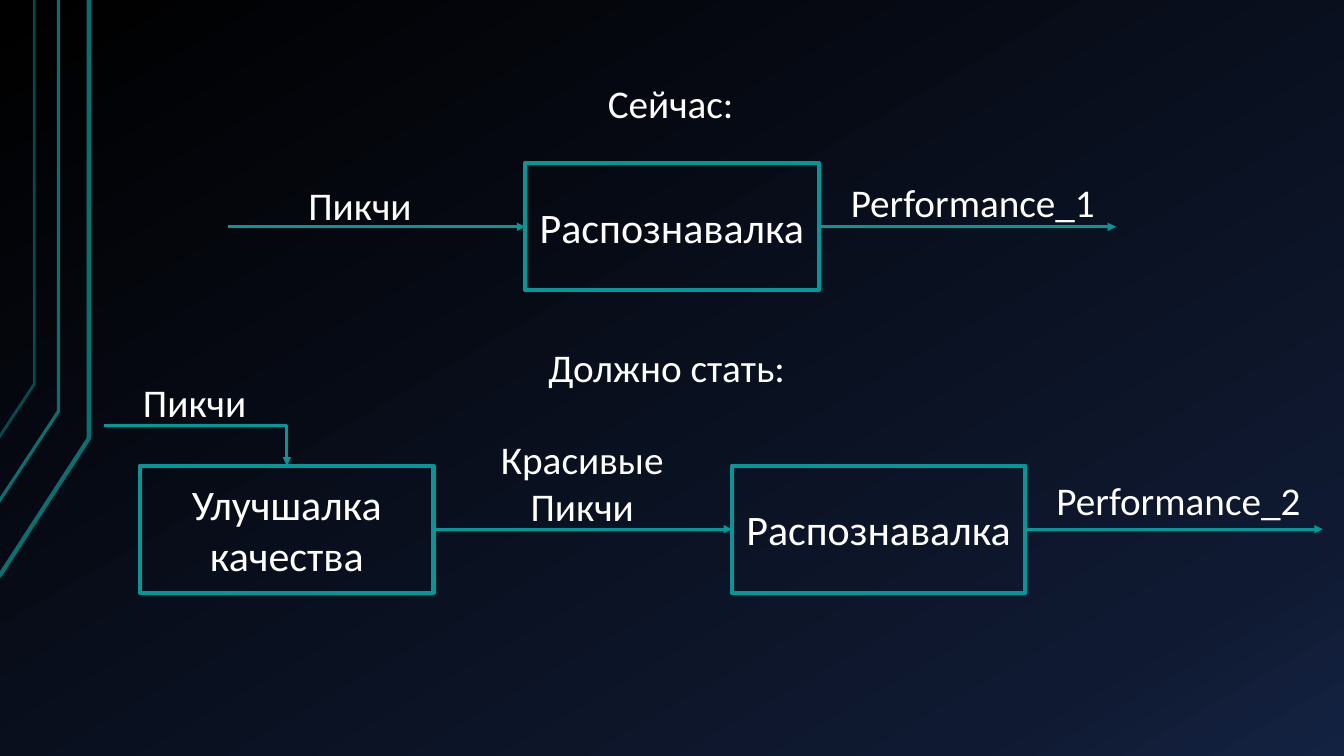
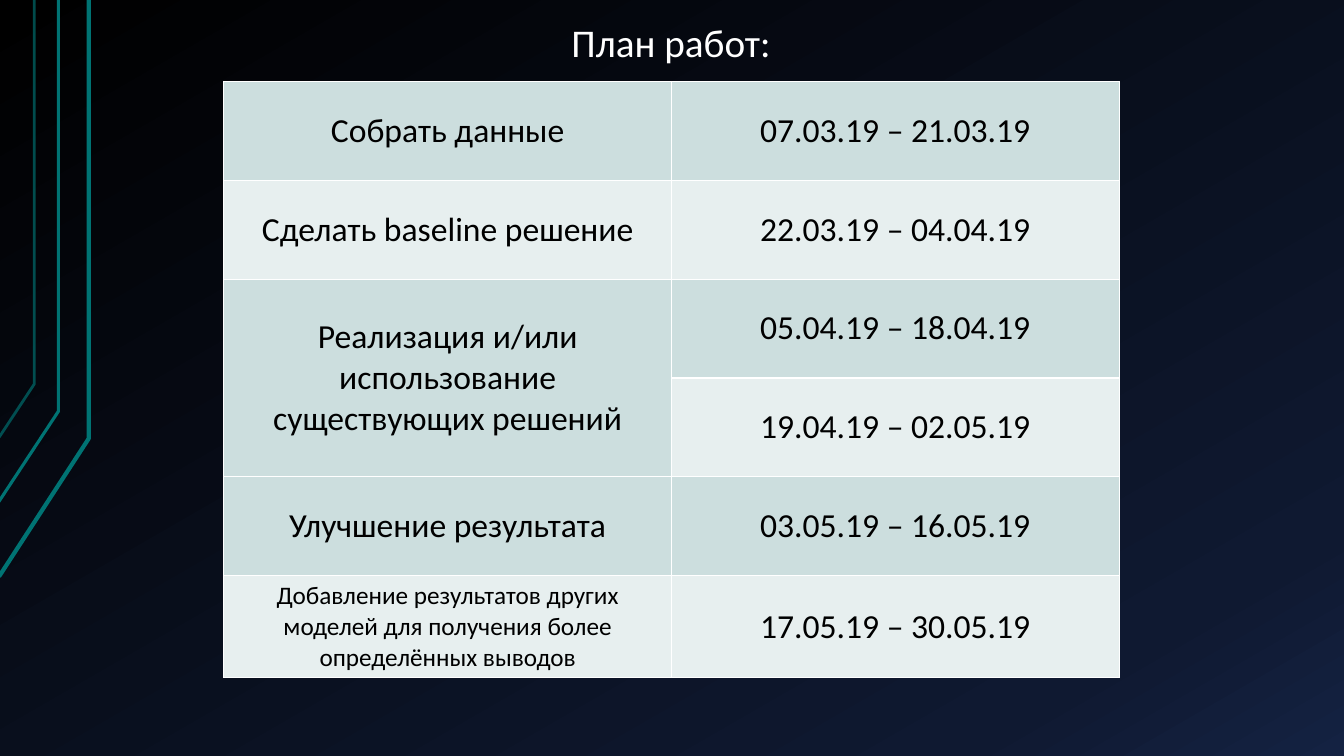
import copy

import pptx
import pptx.dml.color
import pptx.enum.shapes
import pptx.enum.text
import pptx.oxml
import pptx.oxml.ns
import pptx.util
from pptx.util import Inches

FONT = "Calibri"
WHITE, BLACK = "FFFFFF", "000000"
ACCENT, RAIL = "009999", "007373"
BANDS = ("CCDEDE", "E7EFEF")
BACKDROP = ((0, "000000"), (0.85, "0F1931"), (1, "142242"))
# Points, line width and opacity of the bent lines at the left edge
RAILS = (
    (((-0.01, 5.72), (0.88, 4.35), (0.88, 0)), 3, 100),
    (((-0.02, 4.99), (0.58, 4.08), (0.58, 0)), 2.25, 100),
    (((-0.01, 4.34), (0.34, 3.81), (0.34, 0)), 2, 65),
)
BOX_W, BOX_H = 2.91, 1.26
ARROW = 2.95
CENTER = pptx.enum.text.PP_ALIGN.CENTER
LEFT = pptx.enum.text.PP_ALIGN.LEFT
MIDDLE = pptx.enum.text.MSO_ANCHOR.MIDDLE


def rgb(value):
    """Turn a hex string into a colour."""
    return pptx.dml.color.RGBColor.from_string(value)


def add_xml(parent, tag, **attributes):
    """Append a DrawingML element and return it."""
    element = pptx.oxml.parse_xml(f"<a:{tag} {pptx.oxml.ns.nsdecls('a')}/>")
    for key, value in attributes.items():
        element.set(key, str(value))
    parent.append(element)
    return element


class Deck:
    """The presentation's style together with its current slide."""

    def __init__(self):
        """Start a wide presentation with the gradient backdrop."""
        self.prs = pptx.Presentation()
        self.prs.slide_width = Inches(13.33)
        self.prs.slide_height = Inches(7.5)
        self.slide = None
        self.paint_backdrop()

    def paint_backdrop(self):
        """Give the master the diagonal gradient."""
        fill = self.prs.slide_master.background.fill
        fill.gradient()
        fill.gradient_angle = 300
        last = fill.gradient_stops[1]._gs
        last.addnext(copy.deepcopy(last))
        for stop, (position, color) in zip(fill.gradient_stops, BACKDROP):
            stop.position = position
            stop.color.rgb = rgb(color)

    def new_slide(self):
        """Add a blank slide with the bent lines at its left edge."""
        self.slide = self.prs.slides.add_slide(self.prs.slide_layouts[6])
        for points, width, opacity in RAILS:
            self.rail(points, width, opacity)

    def rail(self, points, width, opacity):
        """Draw one open bent line."""
        start, *rest = [(Inches(x), Inches(y)) for x, y in points]
        builder = self.slide.shapes.build_freeform(*start)
        builder.add_line_segments(rest, close=False)
        rail = builder.convert_to_shape()
        self.outline(rail, RAIL, width)
        if opacity < 100:
            color = rail._element.spPr.find(".//" + pptx.oxml.ns.qn("a:srgbClr"))
            add_xml(color, "alpha", val=opacity * 1000)

    def outline(self, shape, color, width):
        """Leave a shape with nothing but its outline."""
        shape.shadow.inherit = False
        shape.fill.background()
        shape.line.color.rgb = rgb(color)
        shape.line.width = pptx.util.Pt(width)

    def set_text(self, frame, text, size, color=WHITE, align=CENTER):
        """Fill a text frame and format its runs."""
        frame.text = text
        for paragraph in frame.paragraphs:
            paragraph.alignment = align
            for run in paragraph.runs:
                run.font.name = FONT
                run.font.size = pptx.util.Pt(size)
                run.font.color.rgb = rgb(color)

    def label(self, text, left, top, width, height=0.57, align=LEFT):
        """Place a line of text that does not wrap."""
        label = self.slide.shapes.add_textbox(
            Inches(left), Inches(top), Inches(width), Inches(height))
        frame = label.text_frame
        frame.word_wrap = False
        frame.auto_size = pptx.enum.text.MSO_AUTO_SIZE.SHAPE_TO_FIT_TEXT
        self.set_text(frame, text, 28, align=align)

    def stage(self, text, left, top):
        """Draw one processing stage as an outlined box."""
        stage = self.slide.shapes.add_shape(
            pptx.enum.shapes.MSO_SHAPE.RECTANGLE,
            Inches(left), Inches(top), Inches(BOX_W), Inches(BOX_H))
        self.outline(stage, ACCENT, 3)
        stage.text_frame.word_wrap = True
        stage.text_frame.vertical_anchor = MIDDLE
        self.set_text(stage.text_frame, text, 30)

    def flow(self, start, end, arrow=True):
        """Connect two points, with an arrowhead at the end if wanted."""
        flow = self.slide.shapes.add_connector(
            pptx.enum.shapes.MSO_CONNECTOR.STRAIGHT,
            *(Inches(value) for value in (*start, *end)))
        flow.line.color.rgb = rgb(ACCENT)
        flow.line.width = pptx.util.Pt(2)
        properties = flow._element.spPr
        if arrow:
            add_xml(properties.find(pptx.oxml.ns.qn("a:ln")), "tailEnd", type="triangle")
        add_xml(properties, "effectLst")

    def schedule(self, rows, left, top, column_width, row_height):
        """Build a banded table; a task of None extends the one above."""
        table = self.slide.shapes.add_table(
            len(rows), 2, Inches(left), Inches(top),
            Inches(2 * column_width), Inches(len(rows) * row_height)).table
        table.first_row = table.horz_banding = False
        for column in table.columns:
            column.width = Inches(column_width)
        for index, (task, dates, task_size) in enumerate(rows):
            table.rows[index].height = Inches(row_height)
            if task is None:
                table.cell(index - 1, 0).merge(table.cell(index, 0))
            for column, (text, size) in enumerate(((task, task_size), (dates, 24))):
                self.cell(table.cell(index, column), text, size, BANDS[index % 2])

    def cell(self, cell, text, size, color):
        """Fill, border and label one table cell."""
        cell.fill.solid()
        cell.fill.fore_color.rgb = rgb(color)
        cell.vertical_anchor = MIDDLE
        if text:
            self.set_text(cell.text_frame, text, size, BLACK)
        properties = cell._tc.get_or_add_tcPr()
        for place, side in enumerate(("lnL", "lnR", "lnT", "lnB")):
            border = add_xml(properties, side, w=pptx.util.Pt(1))
            add_xml(add_xml(border, "solidFill"), "srgbClr", val=WHITE)
            properties.insert(place, border)


def pipelines(deck):
    """Compare the present pipeline with the planned one."""
    deck.new_slide()
    now_left, now_top = 5.21, 1.62
    now_y = now_top + BOX_H / 2
    now_right = now_left + BOX_W
    deck.label("Сейчас:", 5.93, 0.74, 1.46)
    deck.stage("Распознавалка", now_left, now_top)
    deck.flow((now_left - ARROW, now_y), (now_left, now_y))
    deck.flow((now_right, now_y), (now_right + ARROW, now_y))
    deck.label("Пикчи", 2.96, 1.75, 1.24)
    deck.label("Performance_1", 8.34, 1.72, 2.65)

    enhancer_left, recognizer_left, future_top = 1.39, 7.26, 4.62
    future_y = future_top + BOX_H / 2
    future_right = recognizer_left + BOX_W
    entry_x, entry_y = enhancer_left + BOX_W / 2, 4.22
    deck.label("Должно стать:", 5.34, 3.36, 2.57)
    deck.stage("Улучшалка качества", enhancer_left, future_top)
    deck.stage("Распознавалка", recognizer_left, future_top)
    deck.flow((entry_x, entry_y), (1.03, entry_y), arrow=False)
    deck.flow((entry_x, entry_y), (entry_x, future_top))
    deck.flow((enhancer_left + BOX_W, future_y), (recognizer_left, future_y))
    deck.flow((future_right, future_y), (future_right + ARROW, future_y))
    deck.label("Пикчи", 1.32, 3.7, 1.24)
    deck.label("Красивые\nПикчи", 4.86, 4.27, 1.83, 1.04, CENTER)
    deck.label("Performance_2", 10.38, 4.68, 2.74)


def work_plan(deck):
    """Show the schedule of work."""
    deck.new_slide()
    deck.schedule((
        ("Собрать данные", "07.03.19 – 21.03.19", 24),
        ("Сделать baseline решение", "22.03.19 – 04.04.19", 24),
        ("Реализация и/или использование существующих решений",
         "05.04.19 – 18.04.19", 24),
        (None, "19.04.19 – 02.05.19", 24),
        ("Улучшение результата", "03.05.19 – 16.05.19", 24),
        ("Добавление результатов других моделей для получения более "
         "определённых выводов", "17.05.19 – 30.05.19", 18),
    ), 2.22, 0.81, 4.44, 0.98)
    deck.label("План работ:", 5.57, 0.13, 2.2)


deck = Deck()
pipelines(deck)
work_plan(deck)
deck.prs.save("out.pptx")
